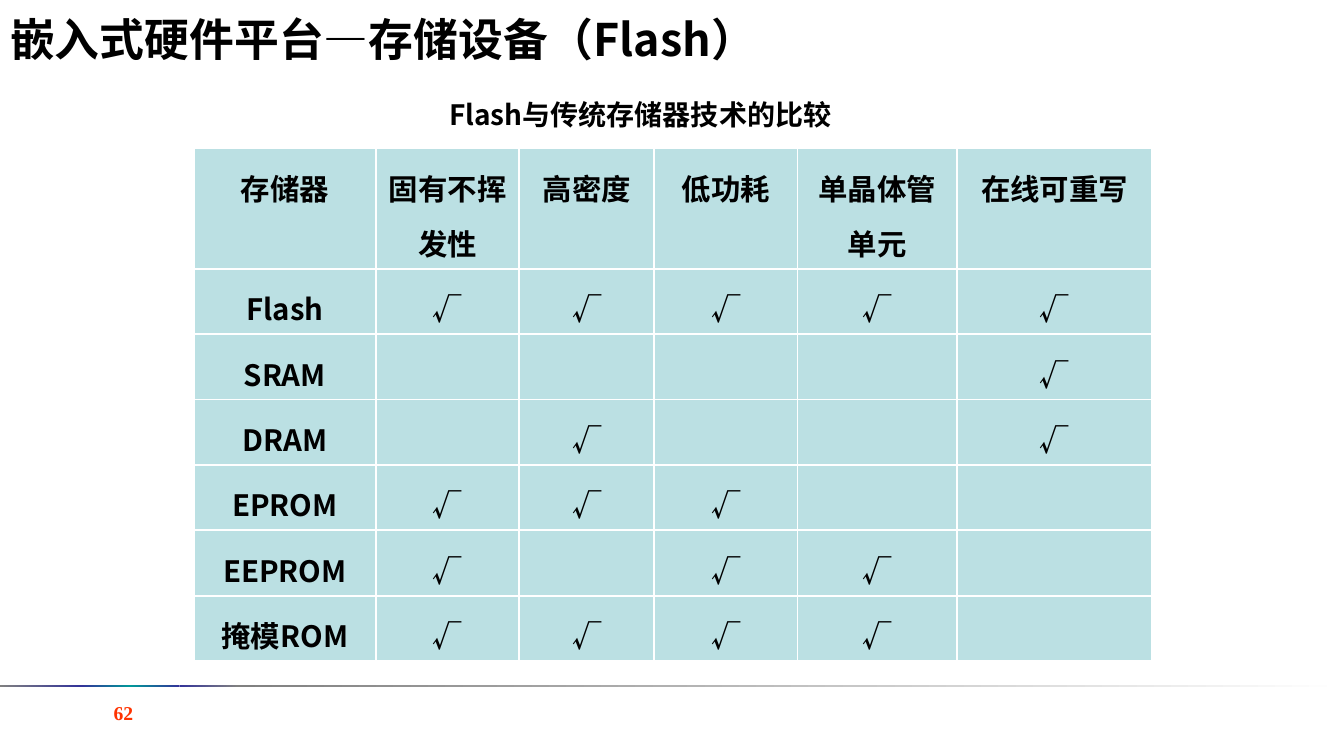
from dataclasses import dataclass

from lxml import etree
from pptx import Presentation
from pptx import util as u
from pptx.dml.color import RGBColor
from pptx.enum import shapes, text
from pptx.oxml import ns


@dataclass(frozen=True)
class Theme:
    black: str = "000000"
    white: str = "FFFFFF"
    cell: str = "BBE0E3"
    number: str = "FF3300"
    gray: str = "808080"
    indigo: str = "333399"
    teal: str = "009999"
    sans: str = "Noto Sans CJK SC"
    serif: str = "Times New Roman"
    title_size: int = 32
    caption_size: int = 20
    table_size: int = 21
    number_size: int = 14
    border_width: float = 1.5


class SlideBuilder:
    def __init__(self, slide, theme):
        self.slide = slide
        self.theme = theme

    def style(self, paragraph, size, align, font=None, color=None):
        paragraph.alignment = align
        paragraph.font.size = u.Pt(size)
        paragraph.font.bold = True
        paragraph.font.name = font or self.theme.sans
        paragraph.font.color.rgb = RGBColor.from_string(color or self.theme.black)
        # East Asian glyphs use the same typeface as Latin ones
        properties = paragraph.font.fill._xPr
        east_asian = etree.SubElement(properties, ns.qn("a:ea"))
        east_asian.set("typeface", font or self.theme.sans)

    def fill_text(self, shape, wording, size, align, anchor, **look):
        frame = shape.text_frame
        frame.text = wording
        frame.word_wrap = True
        frame.auto_size = text.MSO_AUTO_SIZE.NONE
        frame.vertical_anchor = anchor
        self.style(frame.paragraphs[0], size, align, **look)

    def title(self, box, wording):
        shape = self.slide.shapes.title
        shape.left, shape.top, shape.width, shape.height = map(u.Inches, box)
        self.fill_text(shape, wording, self.theme.title_size,
                       text.PP_ALIGN.LEFT, text.MSO_ANCHOR.MIDDLE)

    def textbox(self, box, wording, size, align, anchor, **look):
        shape = self.slide.shapes.add_textbox(*map(u.Inches, box))
        self.fill_text(shape, wording, size, align, anchor, **look)

    def gradient_bar(self, left, right, top, height, colors):
        shape = self.slide.shapes.add_shape(
            shapes.MSO_SHAPE.RECTANGLE, u.Inches(left), u.Inches(top),
            u.Inches(right - left), u.Inches(height))
        shape.shadow.inherit = False
        shape.line.fill.background()
        shape.fill.gradient()
        shape.fill.gradient_angle = 0
        stops = shape.fill._xPr.find(".//" + ns.qn("a:gsLst"))
        for stop in list(stops):
            stops.remove(stop)
        for index, color in enumerate(colors):
            stop = etree.SubElement(stops, ns.qn("a:gs"))
            stop.set("pos", str(100000 * index // (len(colors) - 1)))
            etree.SubElement(stop, ns.qn("a:srgbClr")).set("val", color)

    def cell_borders(self, cell):
        properties = cell._tc.get_or_add_tcPr()
        for index, side in enumerate(("a:lnL", "a:lnR", "a:lnT", "a:lnB")):
            line = etree.Element(ns.qn(side))
            line.set("w", str(u.Pt(self.theme.border_width)))
            solid = etree.SubElement(line, ns.qn("a:solidFill"))
            etree.SubElement(solid, ns.qn("a:srgbClr")).set("val", self.theme.white)
            properties.insert(index, line)

    def table(self, left, top, widths, heights, rows):
        frame = self.slide.shapes.add_table(
            len(rows), len(widths), u.Inches(left), u.Inches(top),
            u.Inches(sum(widths)), u.Inches(sum(heights)))
        table = frame.table
        table.first_row = table.horz_banding = False
        for column, width in zip(table.columns, widths):
            column.width = u.Inches(width)
        for row, height, wordings in zip(table.rows, heights, rows):
            row.height = u.Inches(height)
            for cell, wording in zip(row.cells, wordings):
                cell.text = wording
                paragraph = cell.text_frame.paragraphs[0]
                paragraph.line_spacing = 1.3
                self.style(paragraph, self.theme.table_size, text.PP_ALIGN.CENTER)
                cell.fill.solid()
                cell.fill.fore_color.rgb = RGBColor.from_string(self.theme.cell)
                self.cell_borders(cell)


def main():
    theme = Theme()
    presentation = Presentation()
    presentation.slide_width = u.Inches(13.33)
    presentation.slide_height = u.Inches(7.5)
    slide = presentation.slides.add_slide(presentation.slide_layouts[5])
    builder = SlideBuilder(slide, theme)

    # Footer rule
    edges = (0, 0.81, 1.78, 2.36, 13.33)
    blends = ((theme.gray, theme.indigo),
              (theme.indigo, theme.teal, theme.indigo),
              (theme.indigo, theme.gray),
              (theme.gray, theme.white))
    for left, right, colors in zip(edges, edges[1:], blends):
        builder.gradient_bar(left, right, 6.8, 0.02, colors)

    # Memory comparison: one flag per feature column
    header = ("存储器", "固有不挥发性", "高密度", "低功耗", "单晶体管单元", "在线可重写")
    memories = {"Flash": "11111", "SRAM": "00001", "DRAM": "01001",
                "EPROM": "11100", "EEPROM": "10110", "掩模ROM": "11110"}
    rows = [header] + [
        [name] + ["√" if flag == "1" else "" for flag in flags]
        for name, flags in memories.items()]
    builder.table(1.92, 1.47, (1.81, 1.42, 1.34, 1.42, 1.58, 1.94),
                  [0.98] + [0.53] * len(memories), rows)

    # Title, caption and page number
    builder.title((0, 0.02, 9.9, 0.73), "嵌入式硬件平台—存储设备（Flash）")
    builder.textbox((3.67, 0.91, 5.36, 0.44), "Flash与传统存储器技术的比较",
                    theme.caption_size, text.PP_ALIGN.CENTER, text.MSO_ANCHOR.MIDDLE)
    builder.textbox((0, 6.9, 1.42, 0.5), "62", theme.number_size,
                    text.PP_ALIGN.RIGHT, text.MSO_ANCHOR.TOP,
                    font=theme.serif, color=theme.number)

    presentation.save("out.pptx")


if __name__ == "__main__":
    main()
